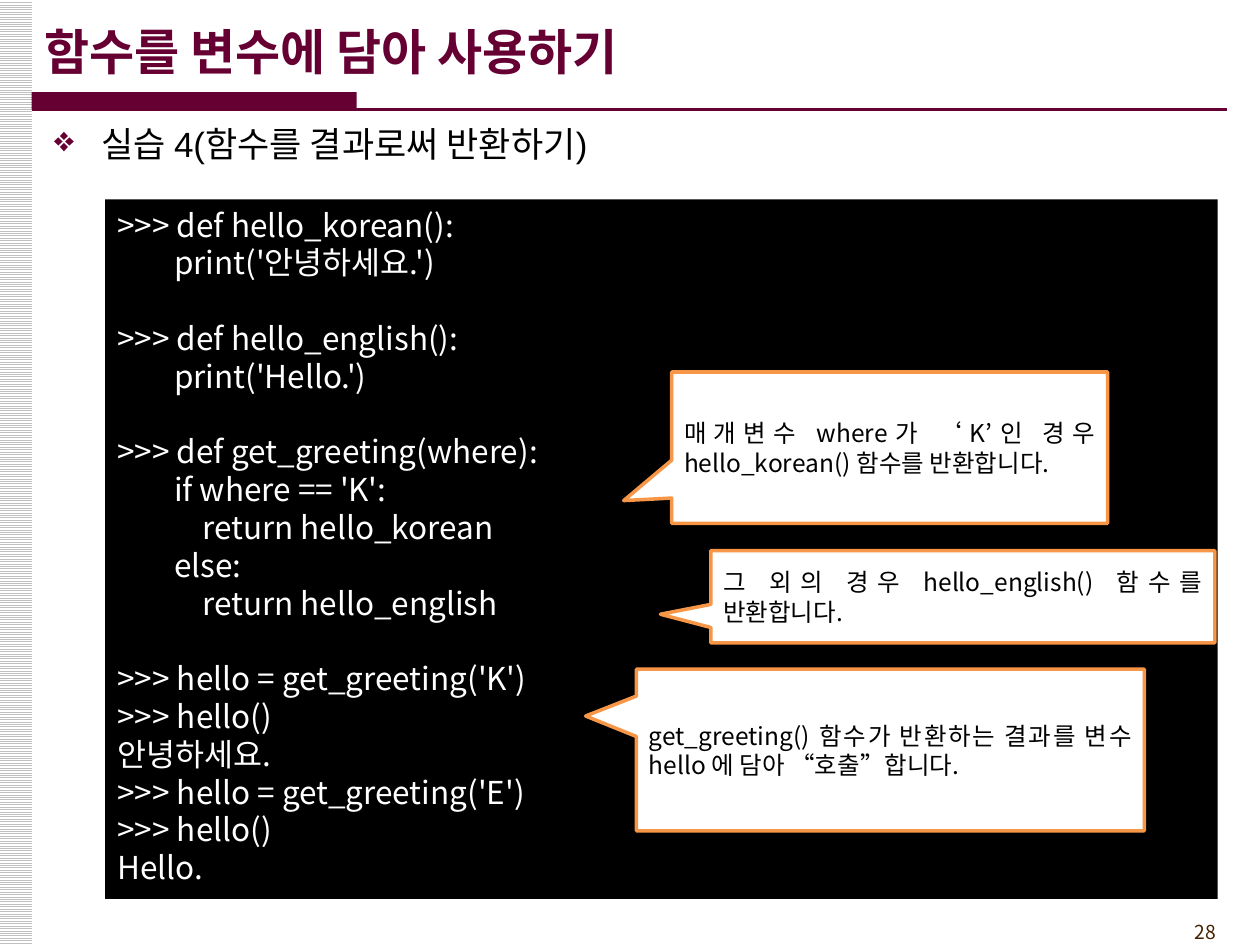
import pptx
import pptx.util
import pptx.dml.color
import pptx.enum.dml
import pptx.enum.shapes
import pptx.enum.text
import pptx.oxml
import pptx.oxml.ns
from lxml import etree

Cm, Pt = pptx.util.Cm, pptx.util.Pt
SHAPE = pptx.enum.shapes.MSO_SHAPE
ALIGN = pptx.enum.text.PP_ALIGN
MIDDLE = pptx.enum.text.MSO_ANCHOR.MIDDLE
KOREAN = "Noto Sans CJK KR"
MAROON = "660033"


def color(hex_value):
    return pptx.dml.color.RGBColor.from_string(hex_value)


def add_text(paragraph, text, size, hex_value, font=KOREAN, bold=False):
    run = paragraph.add_run()
    run.text = text
    run.font.size = Pt(size)
    run.font.name = font
    run.font.bold = bold
    run.font.color.rgb = color(hex_value)
    east_asian = etree.SubElement(run.font._element, pptx.oxml.ns.qn("a:ea"))
    east_asian.set("typeface", KOREAN)


prs = pptx.Presentation()
prs.slide_width, prs.slide_height = Cm(25.4), Cm(19.05)
slide = prs.slides.add_slide(prs.slide_layouts[6])
shapes = slide.shapes

# Striped band on the left edge
band = shapes.add_shape(SHAPE.RECTANGLE, Cm(-0.02), 0, Cm(0.66), Cm(19.05))
band.shadow.inherit = False
band.fill.patterned()
band.fill.pattern = pptx.enum.dml.MSO_PATTERN.LIGHT_HORIZONTAL
band.fill.fore_color.rgb = color("C0C0C0")
band.fill.back_color.rgb = color("FFFFFF")
band.line.fill.background()

# Page number
page_number = shapes.add_textbox(Cm(22.66), Cm(18.42), Cm(2.1), Cm(0.74)).text_frame
page_number.word_wrap = True
page_number.vertical_anchor = MIDDLE
page_number.paragraphs[0].alignment = ALIGN.RIGHT
add_text(page_number.paragraphs[0], "28", 11, "452103")

# Title rule: thick bar and thin line
bar = shapes.add_shape(SHAPE.RECTANGLE, Cm(0.64), Cm(1.86), Cm(6.55), Cm(0.35))
bar.shadow.inherit = False
bar.fill.solid()
bar.fill.fore_color.rgb = color(MAROON)
bar.line.fill.background()
rule = shapes.add_connector(pptx.enum.shapes.MSO_CONNECTOR.STRAIGHT,
                            Cm(0.64), Cm(2.21), Cm(24.74), Cm(2.21))
rule.line.color.rgb = color(MAROON)
rule.line.width = Pt(1.5)
etree.SubElement(rule._element.spPr, pptx.oxml.ns.qn("a:effectLst"))

# Title
title = shapes.add_textbox(Cm(0.64), Cm(0.23), Cm(21), Cm(1.6)).text_frame
title.word_wrap = True
title.vertical_anchor = MIDDLE
add_text(title.paragraphs[0], "함수를 변수에 담아 사용하기", 28, MAROON, "Arial", True)

# Bulleted heading
heading = shapes.add_textbox(Cm(0.84), Cm(2.34), Cm(24.13), Cm(1.2)).text_frame
heading.word_wrap = True
exercise = heading.paragraphs[0]
add_text(exercise, "실습 4(함수를 결과로써 반환하기)", 20, "000000", "Arial")
bullet = exercise._p.get_or_add_pPr()
bullet.set("marL", str(Cm(0.96)))
bullet.set("indent", str(Cm(-0.96)))
bullet_color = etree.SubElement(bullet, pptx.oxml.ns.qn("a:buClr"))
etree.SubElement(bullet_color, pptx.oxml.ns.qn("a:srgbClr")).set("val", MAROON)
etree.SubElement(bullet, pptx.oxml.ns.qn("a:buChar")).set("char", "❖")

# Code session: blocks are set apart by one line, nested lines by indent steps
code_blocks = [
    [(0, ">>> def hello_korean():"), (2, "print('안녕하세요.')")],
    [(0, ">>> def hello_english():"), (2, "print('Hello.')")],
    [(0, ">>> def get_greeting(where):"),
     (2, "if where == 'K':"), (3, "return hello_korean"),
     (2, "else:"), (3, "return hello_english")],
    [(0, ">>> hello = get_greeting('K')"), (0, ">>> hello()"), (0, "안녕하세요."),
     (0, ">>> hello = get_greeting('E')"), (0, ">>> hello()"), (0, "Hello.")],
]
console = shapes.add_shape(SHAPE.RECTANGLE, Cm(2.12), Cm(4.02), Cm(22.43), Cm(14.1))
console.shadow.inherit = False
console.fill.solid()
console.fill.fore_color.rgb = color("000000")
console.line.fill.background()
session = console.text_frame
session.word_wrap = True
session.vertical_anchor = pptx.enum.text.MSO_ANCHOR.TOP
line_height = Pt(21.6)
code_line = session.paragraphs[0]
for block_index, block in enumerate(code_blocks):
    for line_index, (level, code) in enumerate(block):
        if block_index or line_index:
            code_line = session.add_paragraph()
        if block_index and not line_index:
            code_line.space_before = line_height
        code_line.alignment = ALIGN.JUSTIFY
        code_line.line_spacing = line_height
        if level:
            code_line._p.get_or_add_pPr().set("marL", str(Cm(0.57 * level)))
        add_text(code_line, code, 18, "FFFFFF")

# Callouts: left, top, width, height, pointer x, pointer y, remark
callouts = [
    (13.54, 7.5, 8.79, 3.05, -0.61, 0.35,
     "매개변수 where가 ‘K’인 경우 hello_korean() 함수를 반환합니다."),
    (14.33, 11.1, 10.16, 1.86, -0.6, 0.19,
     "그 외의 경우 hello_english() 함수를 반환합니다."),
    (12.83, 13.49, 10.24, 3.26, -0.6, -0.21,
     "get_greeting() 함수가 반환하는 결과를 변수 hello 에 담아 “호출”합니다."),
]
for left, top, width, height, pointer_x, pointer_y, remark in callouts:
    callout = shapes.add_shape(SHAPE.RECTANGULAR_CALLOUT,
                               Cm(left), Cm(top), Cm(width), Cm(height))
    callout.shadow.inherit = False
    callout.adjustments[0] = pointer_x
    callout.adjustments[1] = pointer_y
    callout.fill.solid()
    callout.fill.fore_color.rgb = color("FFFFFF")
    callout.line.color.rgb = color("F79646")
    callout.line.width = Pt(2)
    callout.text_frame.word_wrap = True
    callout.text_frame.vertical_anchor = MIDDLE
    explanation = callout.text_frame.paragraphs[0]
    explanation.alignment = ALIGN.JUSTIFY
    explanation.line_spacing = Pt(16.8)
    add_text(explanation, remark, 14, "000000")

prs.save("out.pptx")
